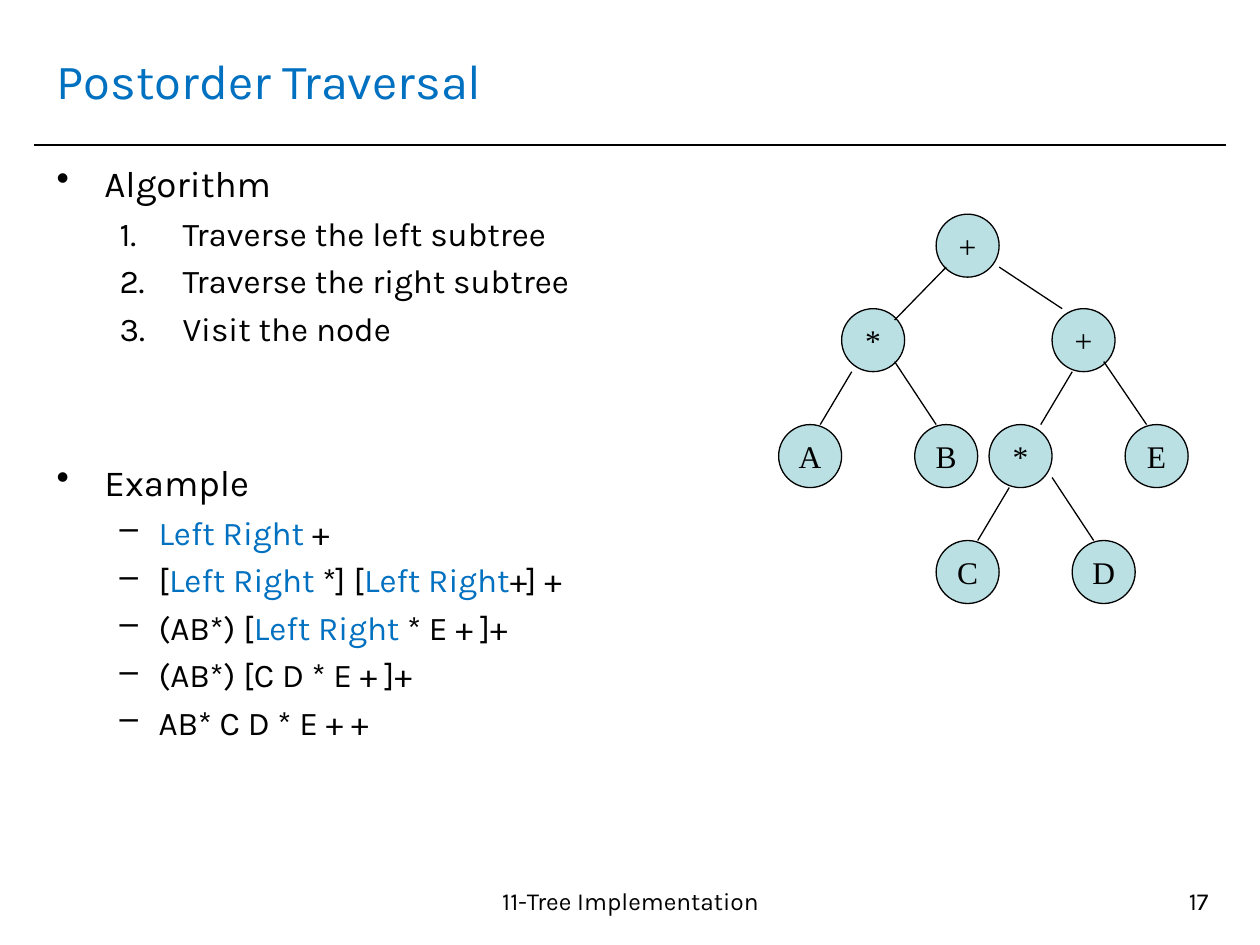
from dataclasses import dataclass
from lxml.etree import SubElement
from pptx import Presentation
from pptx.dml.color import RGBColor
from pptx.enum.shapes import MSO_CONNECTOR, MSO_SHAPE
from pptx.enum.text import MSO_ANCHOR, MSO_AUTO_SIZE, PP_ALIGN
from pptx.oxml.ns import qn
from pptx.slide import Slide
from pptx.util import Inches, Pt

BLACK, BLUE, PALE = "000000", "0070C0", "BBE0E3"


def color(hex_text):
    return RGBColor.from_string(hex_text)


@dataclass
class ListStyle:
    level: int
    size: float
    margin: float
    hanging: float
    space: float
    bullet: tuple


TOPIC = ListStyle(0, 21, 0.38, 0.38, 4.9, ("a:buChar", {"char": "•"}))
STEP = ListStyle(1, 19, 1, 0.5, 4.4, ("a:buAutoNum", {"type": "arabicPeriod"}))
DASH = ListStyle(1, 19, 0.81, 0.31, 4.4, ("a:buChar", {"char": "–"}))

# Each item: list style, then its runs; blue runs are marked by a tuple.
CHILDREN = ("Left Right", BLUE)
OUTLINE = [
    (TOPIC, ["Algorithm"]),
    (STEP, ["Traverse the left subtree"]),
    (STEP, ["Traverse the right subtree"]),
    (STEP, ["Visit the node"]),
    (TOPIC, ["Example"]),
    (DASH, [CHILDREN, " +"]),
    (DASH, ["[", CHILDREN, " *] [", CHILDREN, "+] +"]),
    (DASH, ["(AB*) [", CHILDREN, " * E + ]+"]),
    (DASH, ["(AB*) [C D * E + ]+"]),
    (DASH, ["AB* C D * E + +"]),
]
EXAMPLE_GAP = 64

NODE_SIZE = 0.5
# Top of each tree row, with the left edge and label of its nodes.
TREE_ROWS = [
    (1.7, [(7.43, "+")]),
    (2.45, [(6.68, "*"), (8.35, "+")]),
    (3.37, [(6.18, "A"), (7.26, "B"), (7.85, "*"), (8.93, "E")]),
    (4.29, [(7.43, "C"), (8.51, "D")]),
]
TREE_EDGES = [
    (7.51, 2.12, 7.1, 2.54), (7.93, 2.12, 8.43, 2.45),
    (6.76, 2.95, 6.51, 3.37), (7.1, 2.87, 7.43, 3.37),
    (8.51, 2.95, 8.26, 3.37), (8.76, 2.87, 9.1, 3.37),
    (8.01, 3.87, 7.76, 4.29), (8.35, 3.79, 8.68, 4.29),
]


class SlideBuilder:
    font = "Karla"
    node_font = "Times New Roman"

    def __init__(self, page: Slide):
        self.page = page

    def span(self, para, text, size, ink=BLACK, font=None):
        span = para.add_run()
        span.text = text
        span.font.size = Pt(size)
        span.font.name = font or self.font
        span.font.color.rgb = color(ink)

    def title(self, text, left, top, width, height):
        box = self.page.shapes.title
        box.left, box.top = Inches(left), Inches(top)
        box.width, box.height = Inches(width), Inches(height)
        frame = box.text_frame
        frame.auto_size = MSO_AUTO_SIZE.NONE
        frame.vertical_anchor = MSO_ANCHOR.MIDDLE
        para = frame.paragraphs[0]
        para.alignment = PP_ALIGN.LEFT
        self.span(para, text, 28, BLUE)

    def text_frame(self, left, top, width, height):
        box = self.page.shapes.add_textbox(
            Inches(left), Inches(top), Inches(width), Inches(height))
        box.text_frame.word_wrap = True
        return box.text_frame

    def label(self, text, left, top, width, height, alignment):
        para = self.text_frame(left, top, width, height).paragraphs[0]
        para.alignment = alignment
        self.span(para, text, 14)

    def bullet(self, para, style):
        properties = para._p.get_or_add_pPr()
        properties.set("marL", str(Inches(style.margin)))
        properties.set("indent", str(-Inches(style.hanging)))
        ink = SubElement(properties, qn("a:buClr"))
        SubElement(ink, qn("a:srgbClr"), val=BLACK)
        tag, attributes = style.bullet
        SubElement(properties, qn(tag), attributes)

    def outline(self, items, left, top, width, height):
        frame = self.text_frame(left, top, width, height)
        for index, (style, runs) in enumerate(items):
            para = frame.add_paragraph() if index else frame.paragraphs[0]
            para.level = style.level
            self.bullet(para, style)
            if index:
                new_topic = style is TOPIC
                para.space_before = Pt(EXAMPLE_GAP if new_topic else style.space)
            for run in runs:
                text, ink = run if isinstance(run, tuple) else (run, BLACK)
                self.span(para, text, style.size, ink)

    def line(self, shapes, x1, y1, x2, y2, weight):
        line = shapes.add_connector(
            MSO_CONNECTOR.STRAIGHT, Inches(x1), Inches(y1), Inches(x2), Inches(y2))
        line.line.color.rgb = color(BLACK)
        line.line.width = Pt(weight)
        SubElement(line._element.spPr, qn("a:effectLst"))

    def node(self, shapes, text, left, top):
        node = shapes.add_shape(MSO_SHAPE.OVAL, Inches(left), Inches(top),
                                Inches(NODE_SIZE), Inches(NODE_SIZE))
        node.shadow.inherit = False
        node.fill.solid()
        node.fill.fore_color.rgb = color(PALE)
        node.line.color.rgb = color(BLACK)
        node.line.width = Pt(0.75)
        frame = node.text_frame
        frame.word_wrap = False
        frame.vertical_anchor = MSO_ANCHOR.MIDDLE
        para = frame.paragraphs[0]
        para.alignment = PP_ALIGN.CENTER
        self.span(para, text, 18, font=self.node_font)

    def tree(self, rows, edges):
        shapes = self.page.shapes.add_group_shape().shapes
        for top, nodes in rows:
            for left, text in nodes:
                self.node(shapes, text, left, top)
        for edge in edges:
            self.line(shapes, *edge, 0.75)


def main():
    deck = Presentation()
    deck.slide_width, deck.slide_height = Inches(10), Inches(7.5)
    title_only = deck.slide_layouts[5]
    builder = SlideBuilder(deck.slides.add_slide(title_only))
    builder.line(builder.page.shapes, 0.27, 1.15, 9.73, 1.15, 1)
    builder.title("Postorder Traversal", 0.35, 0.21, 9.29, 0.85)
    builder.outline(OUTLINE, 0.35, 1.23, 9.29, 5.59)
    builder.label("11-Tree Implementation", 3.35, 6.98, 3.31, 0.52, PP_ALIGN.CENTER)
    builder.label("17", 7.36, 6.98, 2.33, 0.52, PP_ALIGN.RIGHT)
    builder.tree(TREE_ROWS, TREE_EDGES)
    deck.save("out.pptx")


if __name__ == "__main__":
    main()
